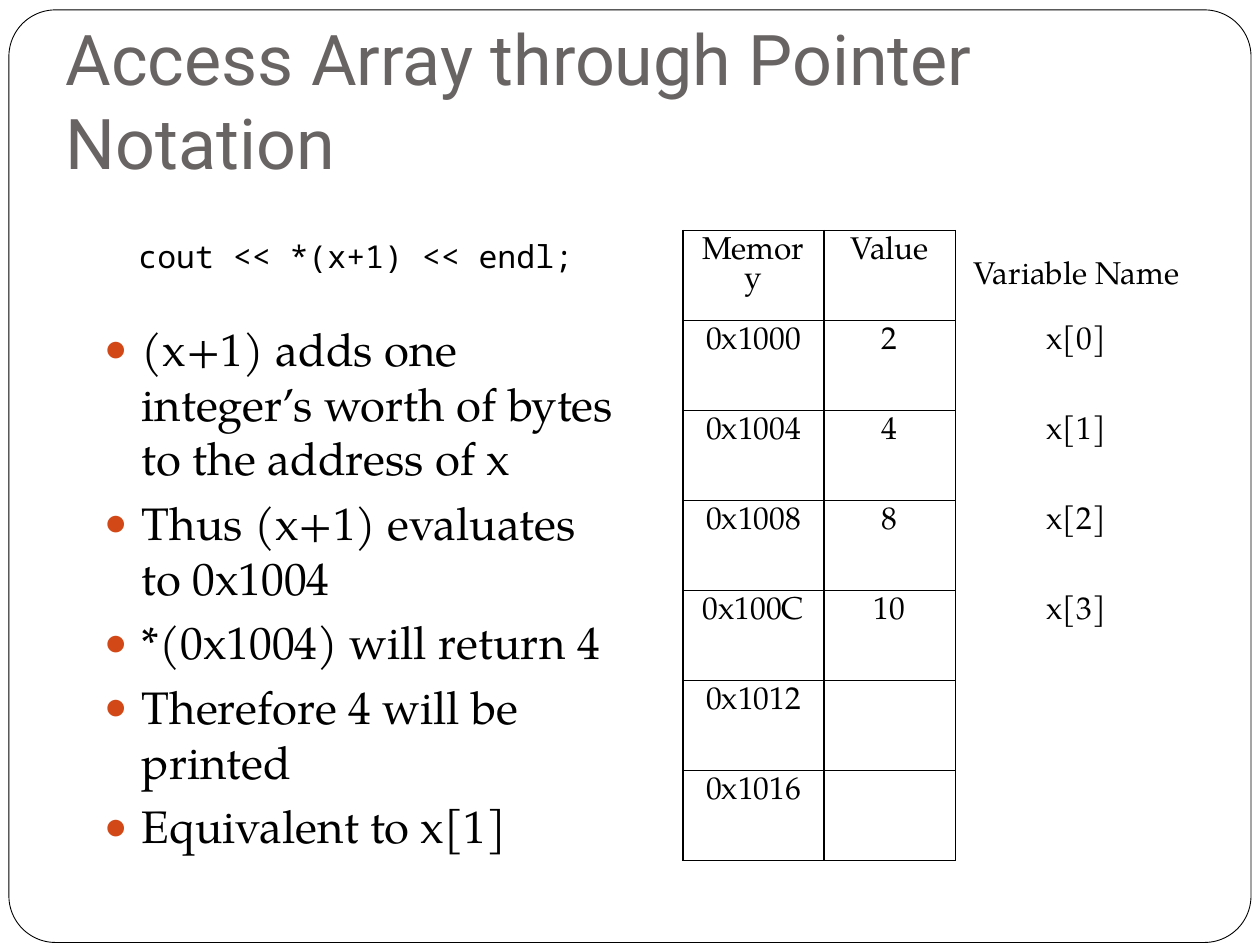
import pptx
import pptx.util
import pptx.dml.color
import pptx.enum.shapes
import pptx.enum.text
import pptx.oxml
import pptx.oxml.ns
from pptx.util import Cm

TITLE = "Access Array through Pointer Notation"
CODE = "cout << *(x+1) << endl;"
POINTS = [
    "(x+1) adds one integer\u2019s worth of bytes to the address of x",
    "Thus (x+1) evaluates to 0x1004",
    "*(0x1004) will return 4",
    "Therefore 4 will be printed",
    "Equivalent to x[1]",
]
MEMORY = [
    ("Memory", "Value", "Variable Name"),
    ("0x1000", "2", "x[0]"),
    ("0x1004", "4", "x[1]"),
    ("0x1008", "8", "x[2]"),
    ("0x100C", "10", "x[3]"),
    ("0x1012", "", ""),
    ("0x1016", "", ""),
]
COLUMN_WIDTHS = (2.84, 2.65, 4.87)
TABLE_HEIGHT = 12.7
SERIF, SANS, MONO = "TeX Gyre Pagella", "Roboto", "Noto Sans Mono"
BLACK, WHITE, GREY, ORANGE = "000000", "FFFFFF", "696464", "D34817"
CENTER = pptx.enum.text.PP_ALIGN.CENTER
LEFT = pptx.enum.text.PP_ALIGN.LEFT


def color(value):
    return pptx.dml.color.RGBColor.from_string(value)


def add_text(para, text, font, size, ink=BLACK, align=LEFT):
    para.alignment = align
    span = para.add_run()
    span.text = text
    span.font.name = font
    span.font.size = pptx.util.Pt(size)
    span.font.color.rgb = color(ink)


def append_xml(parent, markup):
    head, rest = markup.split(" ", 1)
    parent.append(pptx.oxml.parse_xml(f"{head} {pptx.oxml.ns.nsdecls('a')} {rest}"))


def add_bullet(para):
    props = para._p.get_or_add_pPr()
    props.set("marL", str(Cm(0.76)))
    props.set("indent", str(-Cm(0.76)))
    append_xml(props, f'<a:buClr ><a:srgbClr val="{ORANGE}"/></a:buClr>')
    append_xml(props, '<a:buSzPct val="85000"/>')
    append_xml(props, '<a:buFont typeface="Arial"/>')
    append_xml(props, '<a:buChar char="\u25cf"/>')


def set_borders(cell, visible):
    for side in "LRTB":
        paint = f'<a:solidFill><a:srgbClr val="{BLACK}"/></a:solidFill>'
        if side not in visible:
            paint = "<a:noFill/>"
        append_xml(cell._tc.get_or_add_tcPr(),
                   f'<a:ln{side} w="{pptx.util.Pt(1)}">{paint}</a:ln{side}>')


def add_box(left, top, width, height):
    frame = page.shapes.add_textbox(Cm(left), Cm(top), Cm(width), Cm(height)).text_frame
    frame.word_wrap = True
    return frame


deck = pptx.Presentation()
deck.slide_width, deck.slide_height = Cm(25.4), Cm(19.05)
page = deck.slides.add_slide(deck.slide_layouts[5])

# Rounded page frame, behind everything
border = page.shapes.add_shape(pptx.enum.shapes.MSO_SHAPE.ROUNDED_RECTANGLE,
                               Cm(0.18), Cm(0.2), Cm(25.04), Cm(18.8))
border.adjustments[0] = 0.05
border.shadow.inherit = False
border.fill.solid()
border.fill.fore_color.rgb = color(WHITE)
border.line.color.rgb = color(BLACK)
border.line.width = pptx.util.Pt(0.5)
page.shapes._spTree.insert(2, border._element)

# Title
title = page.shapes.title
title.left, title.top, title.width, title.height = Cm(1.07), Cm(0.76), Cm(23.7), Cm(3.18)
frame = title.text_frame
frame.word_wrap = True
frame.auto_size = pptx.enum.text.MSO_AUTO_SIZE.NONE
frame.vertical_anchor = pptx.enum.text.MSO_ANCHOR.BOTTOM
frame.margin_bottom = Cm(0.25)
add_text(frame.paragraphs[0], TITLE, SANS, 40, GREY)

# Memory table: the variable names stand outside the ruled grid
table = page.shapes.add_table(len(MEMORY), len(COLUMN_WIDTHS), Cm(13.77), Cm(4.65),
                              Cm(sum(COLUMN_WIDTHS)), Cm(TABLE_HEIGHT)).table
table.first_row = table.horz_banding = False
for column, width in zip(table.columns, COLUMN_WIDTHS):
    column.width = Cm(width)
for row_index, texts in enumerate(MEMORY):
    table.rows[row_index].height = Cm(TABLE_HEIGHT / len(MEMORY))
    for column_index, text in enumerate(texts):
        cell = table.cell(row_index, column_index)
        set_borders(cell, "L" if column_index == 2 else "LRTB")
        cell.fill.background()
        if text:
            para = cell.text_frame.paragraphs[0]
            para.line_spacing = 0.9
            add_text(para, text, SERIF, 18, align=CENTER)
table.cell(0, 2).vertical_anchor = pptx.enum.text.MSO_ANCHOR.MIDDLE

# Code line
add_text(add_box(2.54, 4.65, 9.42, 1.02).paragraphs[0], CODE, MONO, 18)

# Explanation
frame = add_box(1.85, 6.35, 10.8, 11.86)
for index, point in enumerate(POINTS):
    para = frame.add_paragraph() if index else frame.paragraphs[0]
    para.space_before = pptx.util.Pt(5.8)
    add_bullet(para)
    add_text(para, point, SERIF, 26)

deck.save("out.pptx")
